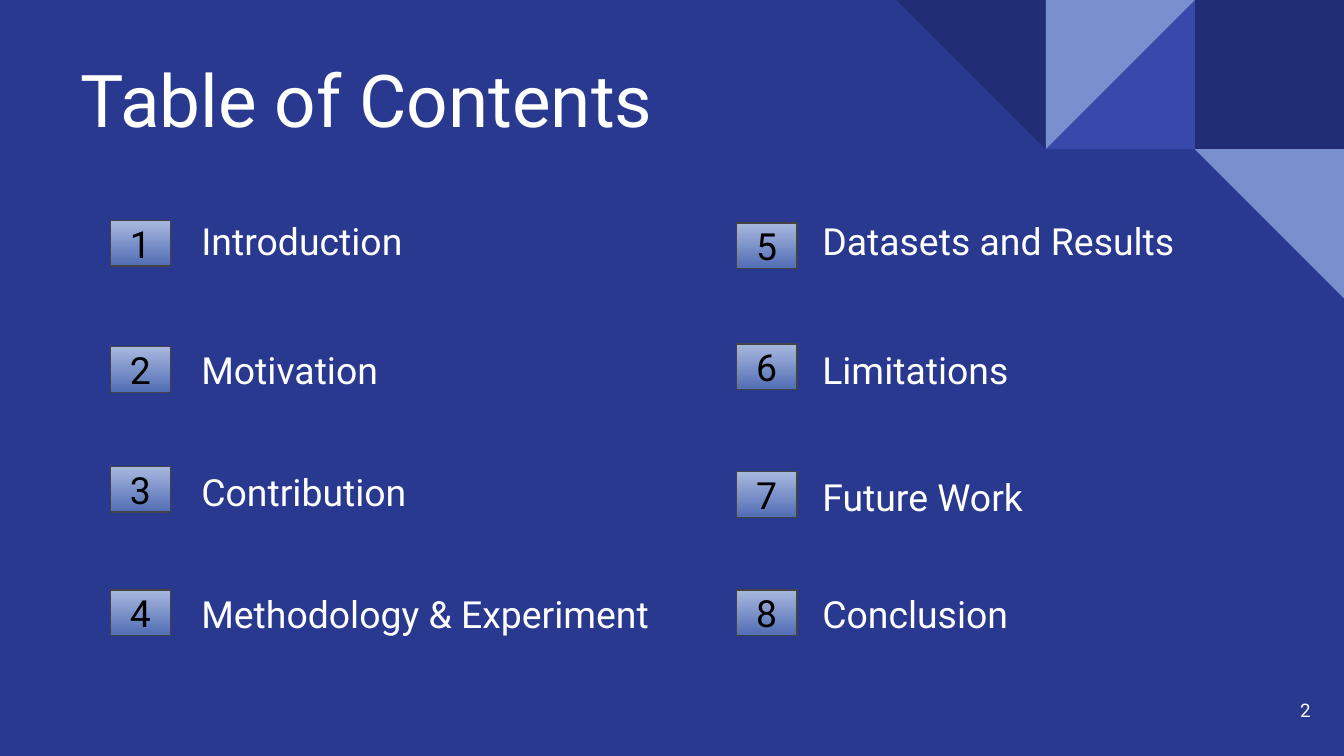
from dataclasses import dataclass

from pptx import Presentation
from pptx import util as u
from pptx.dml.color import RGBColor
from pptx.enum import shapes, text

PX = 4572
WIDTH, HEIGHT = 2000, 1125


@dataclass(frozen=True)
class Theme:
    font: str = "Roboto"
    background: str = "2A3990"
    navy: str = "212D74"
    indigo: str = "3949AB"
    sky: str = "7890CD"
    badge_top: str = "A8B8DF"
    badge_bottom: str = "516DB4"
    badge_line: str = "434343"
    light: str = "FFFFFF"
    dark: str = "000000"
    title_size: int = 39
    body_size: int = 20
    number_size: int = 10


THEME = Theme()
RECT = shapes.MSO_SHAPE.RECTANGLE
TRIANGLE = shapes.MSO_SHAPE.RIGHT_TRIANGLE

TILES = [
    (2, 0, RECT, 0, THEME.navy),
    (1, 0, TRIANGLE, 270, THEME.indigo),
    (1, 0, TRIANGLE, 90, THEME.sky),
    (0, 0, TRIANGLE, 180, THEME.navy),
    (2, 1, TRIANGLE, 180, THEME.sky),
]

COLUMNS = [
    (164, 116, [
        ("Introduction", 304, 24),
        ("Motivation", 496, 20),
        ("Contribution", 678, 16),
        ("Methodology & Experiment", 860, 18),
    ]),
    (1096, 108, [
        ("Datasets and Results", 304, 28),
        ("Limitations", 496, 16),
        ("Future Work", 686, 16),
        ("Conclusion", 860, 18),
    ]),
]


def rgb(value):
    return RGBColor.from_string(value)


def px(*lengths):
    return [u.Emu(n * PX) for n in lengths]


def write(sp, content, size, color=THEME.light, align=text.PP_ALIGN.LEFT,
          anchor=text.MSO_ANCHOR.TOP):
    tf = sp.text_frame
    tf.word_wrap = True
    tf.auto_size = text.MSO_AUTO_SIZE.NONE
    tf.vertical_anchor = anchor
    tf.margin_left, tf.margin_top, tf.margin_right, tf.margin_bottom = px(20, 20, 20, 20)
    p = tf.paragraphs[0]
    p.alignment = align
    r = p.add_run()
    r.text = content
    r.font.name = THEME.font
    r.font.size = u.Pt(size)
    r.font.color.rgb = rgb(color)


def add_corner(s, left, top, size):
    for column, row, kind, rotation, color in TILES:
        box = px(left + column * size, top + row * size, size, size)
        sp = s.shapes.add_shape(kind, *box)
        sp.rotation = rotation
        sp.shadow.inherit = False
        sp.fill.solid()
        sp.fill.fore_color.rgb = rgb(color)
        sp.line.fill.background()


def add_title(s, left, top, width, height):
    sp = s.shapes.title
    sp.left, sp.top, sp.width, sp.height = px(left, top, width, height)
    write(sp, "Table of Contents", THEME.title_size, anchor=text.MSO_ANCHOR.BOTTOM)


def add_badge(s, number, left, top, width, height):
    sp = s.shapes.add_shape(RECT, *px(left, top, width, height))
    sp.shadow.inherit = False
    sp.fill.gradient()
    sp.fill.gradient_angle = 270
    colors = (THEME.badge_top, THEME.badge_bottom)
    for position, (stop, color) in enumerate(zip(sp.fill.gradient_stops, colors)):
        stop.position = position
        stop.color.rgb = rgb(color)
    sp.line.color.rgb = rgb(THEME.badge_line)
    sp.line.width = u.Pt(0.75)
    write(sp, str(number), THEME.body_size, color=THEME.dark,
          align=text.PP_ALIGN.CENTER, anchor=text.MSO_ANCHOR.MIDDLE)


def add_entry(s, number, label, left, top, indent, drop):
    add_badge(s, number, left, top + drop, 90, 68)
    sp = s.shapes.add_textbox(*px(left + indent, top, 772, 100))
    write(sp, label, THEME.body_size)


def add_contents(s):
    number = 1
    for left, indent, entries in COLUMNS:
        for label, top, drop in entries:
            add_entry(s, number, label, left, top, indent, drop)
            number += 1


def add_page_number(s, left, top, width, height):
    sp = s.shapes.add_textbox(*px(left, top, width, height))
    write(sp, "2", THEME.number_size, align=text.PP_ALIGN.RIGHT,
          anchor=text.MSO_ANCHOR.MIDDLE)


def main():
    prs = Presentation()
    prs.slide_width, prs.slide_height = px(WIDTH, HEIGHT)
    s = prs.slides.add_slide(prs.slide_layouts[5])
    s.background.fill.solid()
    s.background.fill.fore_color.rgb = rgb(THEME.background)
    add_corner(s, left=1334, top=0, size=222)
    add_title(s, left=100, top=48, width=1798, height=184)
    add_contents(s)
    add_page_number(s, left=1850, top=1014, width=120, height=86)
    prs.save("out.pptx")


if __name__ == "__main__":
    main()
